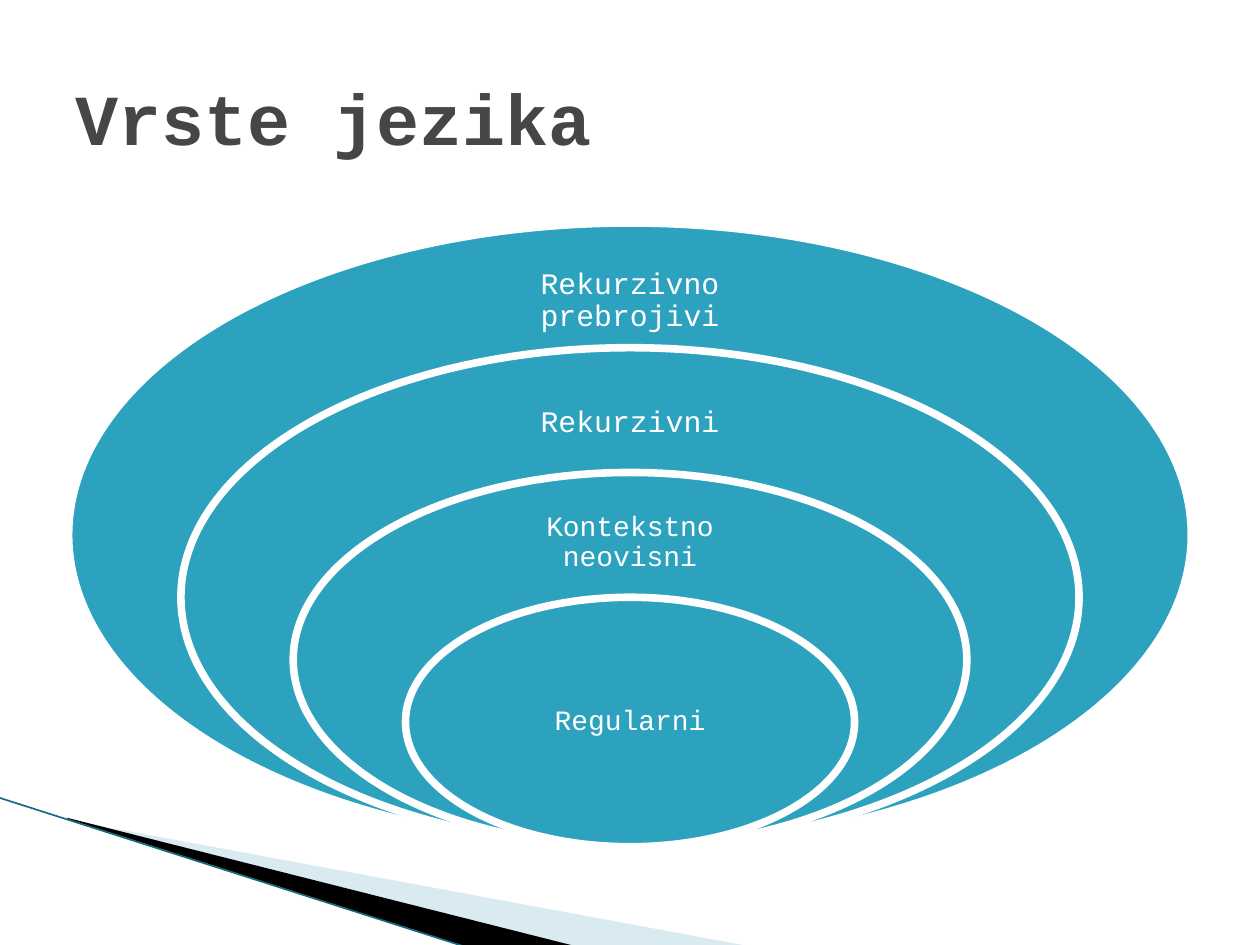
from lxml import etree
from pptx import Presentation
from pptx.dml.color import RGBColor
from pptx.enum.shapes import MSO_CONNECTOR, MSO_SHAPE
from pptx.enum.text import MSO_ANCHOR, PP_ALIGN
from pptx.oxml.ns import qn
from pptx.util import Inches, Pt

ELLIPSE = MSO_SHAPE.OVAL
STRAIGHT = MSO_CONNECTOR.STRAIGHT
MIDDLE = MSO_ANCHOR.MIDDLE
LEFT, CENTER = PP_ALIGN.LEFT, PP_ALIGN.CENTER

FONT = "Courier New"
COLORS = {
    "title": "464646",
    "ellipse": "2DA2BF",
    "white": "FFFFFF",
    "pale": "A0CBDC",
    "black": "000000",
    "edge": "166B80",
}

CENTER_X, BOTTOM = 5, 6.72
OUTER_W, OUTER_H = 8.91, 4.95

# label, text top, text width, text height, inset, font size
LANGUAGES = [
    ("Rekurzivno prebrojivi", 2.02, 2.49, 0.74, 0.13, 17),
    ("Rekurzivni", 3, 2.49, 0.71, 0.13, 17),
    ("Kontekstno neovisni", 3.97, 2.49, 0.67, 0.12, 16),
    ("Regularni", 5.23, 2.52, 0.99, 0.12, 16),
]


def rgb(name):
    return RGBColor.from_string(COLORS[name])


def add_wedge(slide, points, color, opacity=None):
    corners = [(Inches(x), Inches(y)) for x, y in points]
    builder = slide.shapes.build_freeform(*corners[0])
    builder.add_line_segments(corners[1:], close=True)
    sp = builder.convert_to_shape()
    sp.shadow.inherit = False
    sp.fill.solid()
    sp.fill.fore_color.rgb = rgb(color)
    sp.line.fill.background()
    if opacity is not None:
        clr = sp.fill._xPr.find(qn("a:solidFill"))[0]
        etree.SubElement(clr, qn("a:alpha"), val=str(opacity * 1000))


def add_edge(slide, x1, y1, x2, y2):
    line = slide.shapes.add_connector(
        STRAIGHT, Inches(x1), Inches(y1), Inches(x2), Inches(y2))
    line.line.color.rgb = rgb("edge")
    line.line.width = Pt(0.95)
    etree.SubElement(line._element.spPr, qn("a:effectLst"))


def add_text(slide, text, left, top, width, height, size, color,
             align=LEFT, bold=False, inset=None, spacing=None):
    box = slide.shapes.add_textbox(
        Inches(left), Inches(top), Inches(width), Inches(height))
    tf = box.text_frame
    tf.word_wrap = True
    tf.vertical_anchor = MIDDLE
    if inset is not None:
        tf.margin_left = tf.margin_right = Inches(inset)
        tf.margin_top = tf.margin_bottom = Inches(inset)
    p = tf.paragraphs[0]
    p.text = text
    p.alignment = align
    p.line_spacing = spacing
    p.font.name = FONT
    p.font.size = Pt(size)
    p.font.bold = bold
    p.font.color.rgb = rgb(color)


def add_ellipse(slide, scale):
    """Add an ellipse resting on the common bottom point."""
    w, h = OUTER_W * scale, OUTER_H * scale
    sp = slide.shapes.add_shape(
        ELLIPSE, Inches(CENTER_X - w / 2), Inches(BOTTOM - h),
        Inches(w), Inches(h))
    sp.shadow.inherit = False
    sp.fill.solid()
    sp.fill.fore_color.rgb = rgb("ellipse")
    sp.line.color.rgb = rgb("white")
    sp.line.width = Pt(4.33)


def main():
    prs = Presentation()
    prs.slide_width, prs.slide_height = Inches(10), Inches(7.5)
    slide = prs.slides.add_slide(prs.slide_layouts[6])

    add_wedge(slide, [(0.55, 6.51), (5.95, 7.51), (4.56, 7.51), (0.55, 6.5)],
              "pale", opacity=40)
    add_wedge(slide, [(0.53, 6.49), (4.57, 7.51), (3.72, 7.52), (0.54, 6.5)],
              "black")
    add_edge(slide, -0.01, 6.33, 3.71, 7.52)

    add_text(slide, "Vrste jezika", 0.5, 0.3, 9, 1.25, 41, "title", bold=True)
    for i, (label, top, w, h, inset, size) in enumerate(LANGUAGES):
        add_ellipse(slide, 1 - 0.2 * i)
        add_text(slide, label, CENTER_X - w / 2, top, w, h, size, "white",
                 align=CENTER, inset=inset, spacing=0.9)

    prs.save("out.pptx")


if __name__ == "__main__":
    main()
